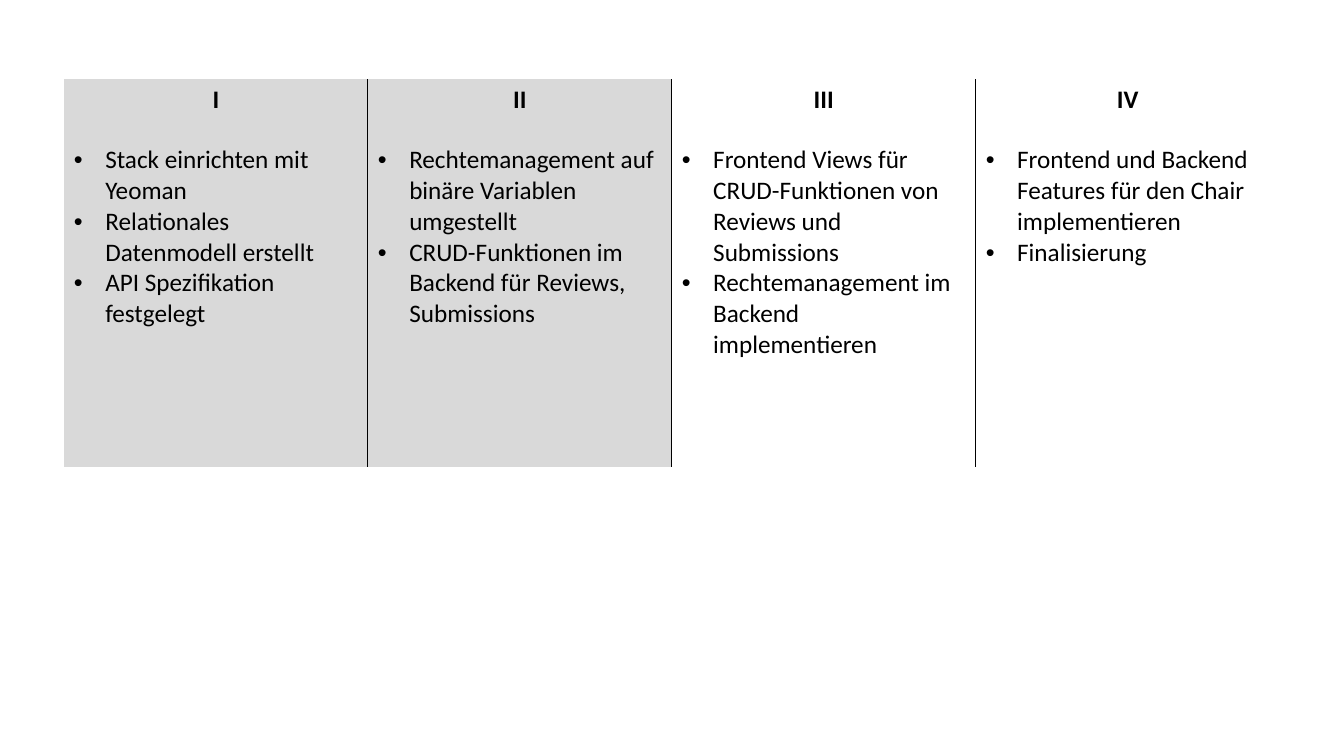
from lxml import etree
from pptx import Presentation
from pptx.dml.color import RGBColor
from pptx.enum.text import PP_ALIGN
from pptx.oxml.ns import qn
from pptx.util import Cm, Pt

CENTER = PP_ALIGN.CENTER
LEFT = PP_ALIGN.LEFT
BLACK = RGBColor(0x00, 0x00, 0x00)
GREY = RGBColor(0xD9, 0xD9, 0xD9)
BLANK = 6

# Heading, tasks, done
PHASES = [
    ("I", ["Stack einrichten mit Yeoman",
           "Relationales Datenmodell erstellt",
           "API Spezifikation festgelegt"], True),
    ("II", ["Rechtemanagement auf binäre Variablen umgestellt",
            "CRUD-Funktionen im Backend für Reviews, Submissions"], True),
    ("III", ["Frontend Views für CRUD-Funktionen von Reviews und Submissions",
             "Rechtemanagement im Backend implementieren"], False),
    ("IV", ["Frontend und Backend Features für den Chair implementieren",
            "Finalisierung"], False),
]


class Deck:
    """Holds the text style and the current slide."""

    font = "Calibri"
    size = Pt(18)
    line = Pt(1)
    indent = Cm(0.79)

    def __init__(self, prs):
        """Add a blank slide to the presentation."""
        self.slide = prs.slides.add_slide(prs.slide_layouts[BLANK])

    def table(self, left, top, widths, heights):
        """Add a table without banding and return it."""
        frame = self.slide.shapes.add_table(
            len(heights), len(widths), left, top, sum(widths), sum(heights))
        table = frame.table
        table.first_row = table.horz_banding = False
        for col, width in zip(table.columns, widths):
            col.width = width
        for row, height in zip(table.rows, heights):
            row.height = height
        return table

    def edges(self, cell, sides):
        """Draw the given sides of a cell and clear the others."""
        props = cell._tc.get_or_add_tcPr()
        for side in "LRTB":
            edge = etree.SubElement(props, qn(f"a:ln{side}"))
            if side in sides:
                edge.set("w", str(self.line))
                fill = etree.SubElement(edge, qn("a:solidFill"))
                color = etree.SubElement(fill, qn("a:srgbClr"))
                color.set("val", str(BLACK))
            else:
                edge.set("w", "0")
                etree.SubElement(edge, qn("a:noFill"))

    def bullet(self, para):
        """Give a paragraph a hanging bullet."""
        props = para._p.get_or_add_pPr()
        props.set("marL", str(self.indent))
        props.set("indent", str(-self.indent))
        etree.SubElement(props, qn("a:buFont")).set("typeface", "Arial")
        etree.SubElement(props, qn("a:buChar")).set("char", "•")

    def cell(self, cell, lines, sides, done, head):
        """Fill a cell with a heading or a bullet list."""
        self.edges(cell, sides)
        if done:
            cell.fill.solid()
            cell.fill.fore_color.rgb = GREY
        else:
            cell.fill.background()
        cell.text_frame.text = "\n".join(lines)
        for para in cell.text_frame.paragraphs:
            para.alignment = CENTER if head else LEFT
            if not head:
                self.bullet(para)
            for run in para.runs:
                run.font.name = self.font
                run.font.size = self.size
                run.font.bold = head
                run.font.color.rgb = BLACK


prs = Presentation()
prs.slide_width, prs.slide_height = Cm(33.87), Cm(19.05)
deck = Deck(prs)

plan = deck.table(Cm(1.61), Cm(2), [Cm(7.66)] * len(PHASES),
                  [Cm(1.52), Cm(8.26)])
last = len(PHASES) - 1
for col, (name, tasks, done) in enumerate(PHASES):
    sides = ("L" if col > 0 else "") + ("R" if col < last else "")
    deck.cell(plan.cell(0, col), [name], sides, done, True)
    deck.cell(plan.cell(1, col), tasks, sides, done, False)

prs.save("out.pptx")
